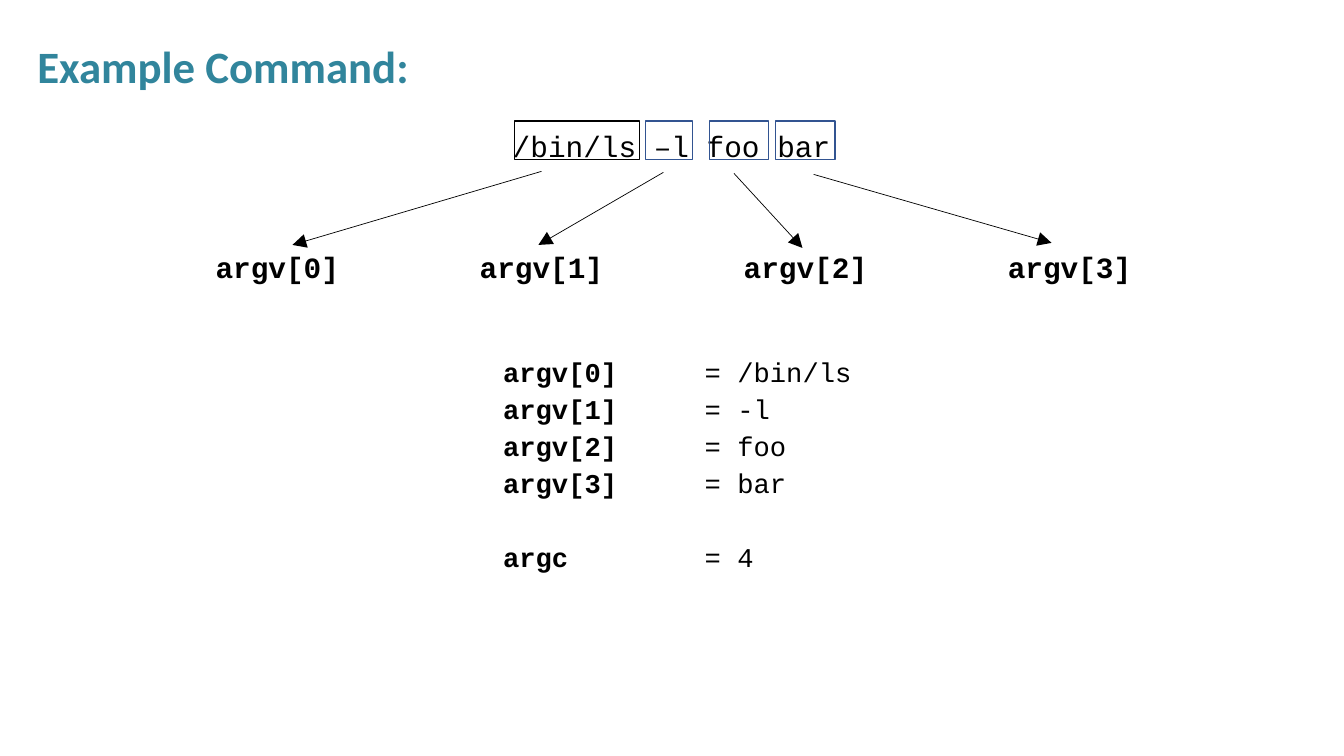
from dataclasses import dataclass

from lxml.etree import SubElement
from pptx import Presentation
from pptx.dml.color import RGBColor
from pptx.enum.shapes import MSO_CONNECTOR as Connector, MSO_SHAPE as Shape
from pptx.enum.text import MSO_ANCHOR as Anchor, MSO_AUTO_SIZE as AutoSize, PP_ALIGN as Align
from pptx.oxml.ns import qn
from pptx.util import Inches, Pt


@dataclass(frozen=True)
class Theme:
    heading_font: str = "Calibri"
    code_font: str = "Courier New"
    heading: str = "31859C"
    ink: str = "000000"
    frame: str = "325491"
    heading_size: float = 32
    code_size: float = 21
    list_size: float = 19.4
    arrow_width: float = 0.5
    frame_width: float = 1


THEME = Theme()
WIDTH, HEIGHT = Inches(13.33), Inches(7.5)
LABEL_LEFT, LABEL_STEP = 14.48, 19.65
FRAME_TOP, FRAME_HEIGHT = 16, 5.07
LIST_GAP, GROUP_GAP = 10.3, 36.4

# Each argument: value, frame left, frame width, frame colour, arrow start, arrow end
ARGUMENTS = [
    ("/bin/ls", 38.3, 9.3, THEME.ink, (40.29, 22.67), (21.76, 32.4)),
    ("-l", 48.01, 3.53, THEME.frame, (49.36, 22.8), (40.06, 32.4)),
    ("foo", 52.81, 4.35, THEME.frame, (54.61, 22.93), (59.71, 32.8)),
    ("bar", 57.69, 4.43, THEME.frame, (60.54, 23.07), (78.24, 32.13)),
]


def grid(*values):
    """Turn alternating columns and rows of a 100 by 100 grid into lengths."""
    return [round(v * (HEIGHT if i % 2 else WIDTH) / 100) for i, v in enumerate(values)]


def place(s, *area):
    s.left, s.top, s.width, s.height = grid(*area)
    tf = s.text_frame
    tf.word_wrap = True
    tf.auto_size = AutoSize.NONE
    tf.vertical_anchor = Anchor.TOP
    return tf


def add_run(p, text, size, font=THEME.code_font, color=THEME.ink, bold=False):
    r = p.add_run()
    r.text = text
    r.font.name = font
    r.font.size = Pt(size)
    r.font.bold = bold
    r.font.color.rgb = RGBColor.from_string(color)


def space(p, line, before=10):
    p.line_spacing = line
    p.space_before = Pt(before)


def add_title(slide, text):
    tf = place(slide.shapes.title, 2.78, 4.4, 97.22, 7.07)
    tf.margin_left = tf.margin_right = tf.margin_top = tf.margin_bottom = 0
    p = tf.paragraphs[0]
    p.alignment = Align.LEFT
    space(p, Pt(42))
    add_run(p, text, THEME.heading_size, THEME.heading_font, THEME.heading, True)


def add_code(slide, text, area, bold=False):
    s = slide.shapes.add_textbox(0, 0, 0, 0)
    p = place(s, *area).paragraphs[0]
    p.alignment = Align.CENTER
    space(p, 0.9)
    add_run(p, text, THEME.code_size, bold=bold)


def add_values(slide, rows):
    """Fill the body with names and values, the values lined up at a tab stop."""
    tf = place(slide.placeholders[1], 36.68, 47.47, 29.78, 28.53)
    for i, (name, value, gap) in enumerate(rows):
        p = tf.add_paragraph() if i else tf.paragraphs[0]
        space(p, 0.7, gap)
        pPr = p._p.get_or_add_pPr()
        pPr.set("marL", "0")
        pPr.set("indent", "0")
        pPr.set("defTabSz", str(Inches(2)))
        SubElement(pPr, qn("a:buNone"))
        add_run(p, name, THEME.list_size, bold=True)
        add_run(p, f"\t= {value}", THEME.list_size)


def add_arrow(slide, start, end):
    s = slide.shapes.add_connector(Connector.STRAIGHT, *grid(*start, *end))
    s.line.color.rgb = RGBColor.from_string(THEME.ink)
    s.line.width = Pt(THEME.arrow_width)
    SubElement(s.line._get_or_add_ln(), qn("a:tailEnd"), type="triangle", w="lg", len="lg")
    SubElement(s._element.spPr, qn("a:effectLst"))


def add_frame(slide, left, width, color):
    area = grid(left, FRAME_TOP, width, FRAME_HEIGHT)
    s = slide.shapes.add_shape(Shape.RECTANGLE, *area)
    s.shadow.inherit = False
    s.fill.background()
    s.line.color.rgb = RGBColor.from_string(color)
    s.line.width = Pt(THEME.frame_width)


def main():
    prs = Presentation()
    prs.slide_width, prs.slide_height = WIDTH, HEIGHT
    slide = prs.slides.add_slide(prs.slide_layouts[1])

    add_title(slide, "Example Command:")
    add_code(slide, "/bin/ls –l foo bar", (35.71, 16.8, 28.51, 9.73))
    rows = []
    for i, (value, left, width, color, start, end) in enumerate(ARGUMENTS):
        name = f"argv[{i}]"
        add_code(slide, name, (LABEL_LEFT + i * LABEL_STEP, 32.8, 12.3, 8.27), bold=True)
        add_arrow(slide, start, end)
        add_frame(slide, left, width, color)
        rows.append((name, value, LIST_GAP))
    rows.append(("argc", len(ARGUMENTS), GROUP_GAP))
    add_values(slide, rows)

    prs.save("out.pptx")


if __name__ == "__main__":
    main()
